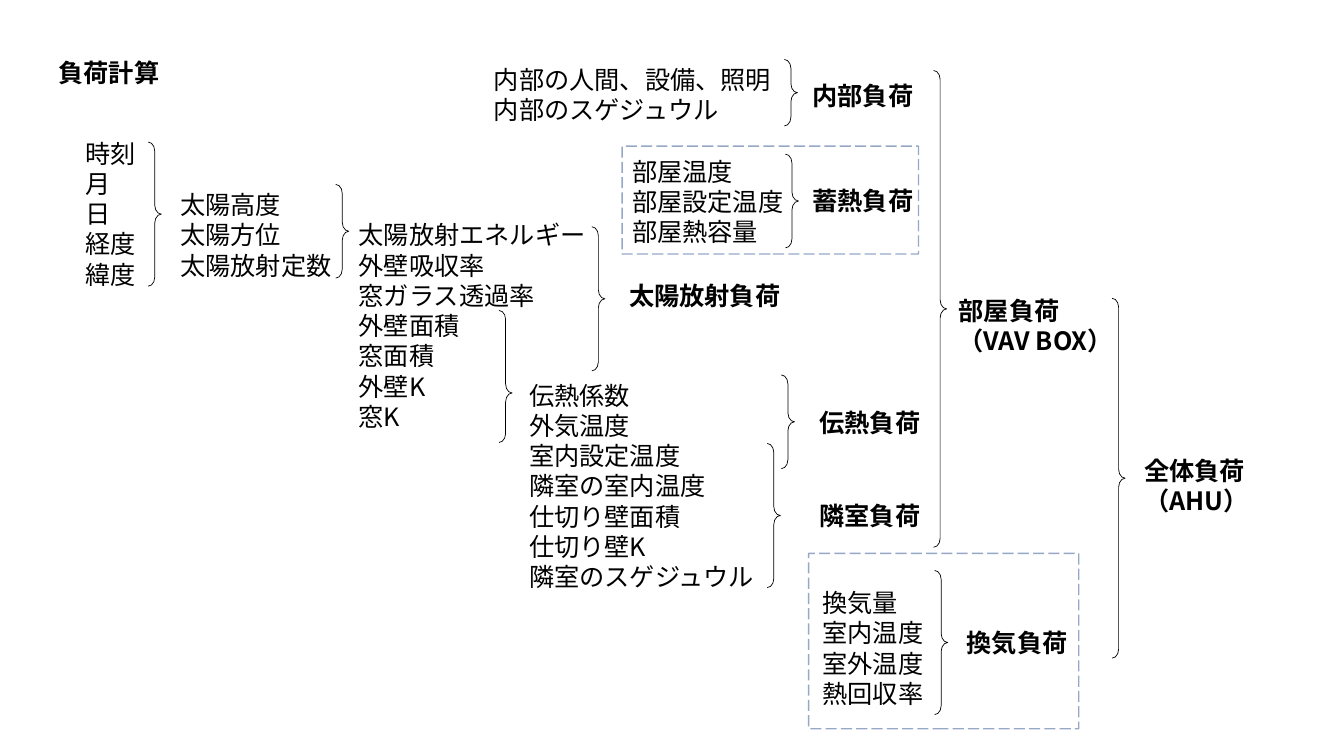
from dataclasses import dataclass

from lxml.etree import SubElement
from pptx import Presentation
from pptx.dml.color import RGBColor
from pptx.enum.dml import MSO_LINE
from pptx.enum.lang import MSO_LANGUAGE_ID
from pptx.enum.shapes import MSO_SHAPE
from pptx.enum.text import MSO_ANCHOR, MSO_AUTO_SIZE, PP_ALIGN
from pptx.oxml.ns import qn
from pptx.shapes.autoshape import Shape
from pptx.slide import Slide
from pptx.util import Inches, Pt


@dataclass(frozen=True)
class Theme:
    font: str = "Noto Sans CJK JP"
    size: Pt = Pt(18)
    ink: RGBColor = RGBColor(0, 0, 0)
    frame: RGBColor = RGBColor(0x2F, 0x52, 0x8F)
    frame_alpha: int = 50000
    brace_width: Pt = Pt(0.5)
    frame_width: Pt = Pt(1)


@dataclass(frozen=True)
class Label:
    left: float
    top: float
    width: float
    lines: tuple[str, ...]
    bold: bool = False


@dataclass(frozen=True)
class Brace:
    left: float
    top: float
    height: float
    point: float = 0.5


@dataclass(frozen=True)
class Frame:
    left: float
    top: float
    width: float
    height: float


THEME = Theme()
LINE_HEIGHT = 0.303
TEXT_INSET = 0.1
BRACE_WIDTH = 0.13
BRACE_CURVE = 0.688

TITLE = Label(0.48, 0.52, 1.21, ("負荷計算",), True)

# Inputs of the calculation
INPUTS = (
    Label(0.75, 1.32, 0.71, ("時刻", "月", "日", "経度", "緯度")),
    Label(1.69, 1.83, 1.72, ("太陽高度", "太陽方位", "太陽放射定数")),
    Label(3.46, 2.13, 2.47, ("太陽放射エネルギー", "外壁吸収率", "窓ガラス透過率")),
    Label(3.46, 3.03, 1.21, ("外壁面積", "窓面積", "外壁K", "窓K")),
    Label(5.15, 3.72, 2.47, ("伝熱係数", "外気温度", "室内設定温度", "隣室の室内温度",
                             "仕切り壁面積", "仕切り壁K", "隣室のスゲジュウル")),
    Label(4.8, 0.59, 2.98, ("内部の人間、設備、照明", "内部のスゲジュウル")),
    Label(6.17, 1.5, 1.72, ("部屋温度", "部屋設定温度", "部屋熱容量")),
    Label(8.06, 5.78, 1.21, ("換気量", "室内温度", "室外温度", "熱回収率")),
)

# Resulting loads
LOADS = (
    Label(7.96, 0.75, 1.21, ("内部負荷",), True),
    Label(7.96, 1.79, 1.21, ("蓄熱負荷",), True),
    Label(6.14, 2.73, 1.72, ("太陽放射負荷",), True),
    Label(8.03, 3.99, 1.21, ("伝熱負荷",), True),
    Label(8.03, 4.91, 1.21, ("隣室負荷",), True),
    Label(9.49, 6.17, 1.21, ("換気負荷",), True),
    Label(9.41, 2.88, 1.84, ("部屋負荷", "（VAV BOX）"), True),
    Label(11.25, 4.47, 1.27, ("全体負荷", "（AHU）"), True),
)

BRACES = (
    Brace(1.47, 1.41, 1.43),
    Brace(3.33, 1.83, 0.93),
    Brace(5.87, 2.25, 1.43),
    Brace(4.95, 3.08, 1.31, 0.625),
    Brace(7.75, 3.72, 0.93),
    Brace(7.61, 4.4, 1.43),
    Brace(7.78, 0.59, 0.66),
    Brace(7.79, 1.53, 0.93),
    Brace(9.26, 0.7, 4.73),
    Brace(9.27, 5.66, 1.43),
    Brace(11.03, 2.96, 3.57),
)

FRAMES = (Frame(6.17, 1.45, 2.94, 1.07), Frame(8.02, 5.49, 2.68, 1.74))


def fill_label(shape: Shape, label: Label) -> None:
    """Place a text shape and write one paragraph per line."""
    shape.left, shape.top = Inches(label.left), Inches(label.top)
    shape.width = Inches(label.width)
    shape.height = Inches(TEXT_INSET + LINE_HEIGHT * len(label.lines))
    text_frame = shape.text_frame
    text_frame.word_wrap = False
    text_frame.auto_size = MSO_AUTO_SIZE.SHAPE_TO_FIT_TEXT
    text_frame.vertical_anchor = MSO_ANCHOR.TOP
    for index, line in enumerate(label.lines):
        paragraph = text_frame.add_paragraph() if index else text_frame.paragraphs[0]
        paragraph.alignment = PP_ALIGN.LEFT
        run = paragraph.add_run()
        run.text = line
        font = run.font
        font.name, font.size, font.bold = THEME.font, THEME.size, label.bold
        font.color.rgb = THEME.ink
        font.language_id = MSO_LANGUAGE_ID.JAPANESE
        properties = run._r.get_or_add_rPr()
        SubElement(properties, qn("a:ea")).set("typeface", THEME.font)


def add_label(slide: Slide, label: Label) -> None:
    fill_label(slide.shapes.add_textbox(0, 0, 0, 0), label)


def add_outline(slide: Slide, kind: MSO_SHAPE, area: Frame,
                color: RGBColor, line_width: Pt) -> Shape:
    shape = slide.shapes.add_shape(kind, Inches(area.left), Inches(area.top),
                                   Inches(area.width), Inches(area.height))
    shape.shadow.inherit = False
    shape.fill.background()
    shape.line.color.rgb = color
    shape.line.width = line_width
    return shape


def add_brace(slide: Slide, brace: Brace) -> None:
    area = Frame(brace.left, brace.top, BRACE_WIDTH, brace.height)
    shape = add_outline(slide, MSO_SHAPE.RIGHT_BRACE, area, THEME.ink, THEME.brace_width)
    shape.adjustments[0] = BRACE_CURVE
    shape.adjustments[1] = brace.point


def add_frame(slide: Slide, frame: Frame) -> None:
    shape = add_outline(slide, MSO_SHAPE.RECTANGLE, frame, THEME.frame, THEME.frame_width)
    shape.line.dash_style = MSO_LINE.LONG_DASH
    color = shape.line._ln.find(".//" + qn("a:srgbClr"))
    SubElement(color, qn("a:alpha")).set("val", str(THEME.frame_alpha))


def main() -> None:
    presentation = Presentation()
    presentation.slide_width, presentation.slide_height = Inches(13.33), Inches(7.5)
    slide = presentation.slides.add_slide(presentation.slide_layouts[5])

    fill_label(slide.shapes.title, TITLE)
    for label in INPUTS + LOADS:
        add_label(slide, label)
    for brace in BRACES:
        add_brace(slide, brace)
    for frame in FRAMES:
        add_frame(slide, frame)

    presentation.save("out.pptx")


if __name__ == "__main__":
    main()
